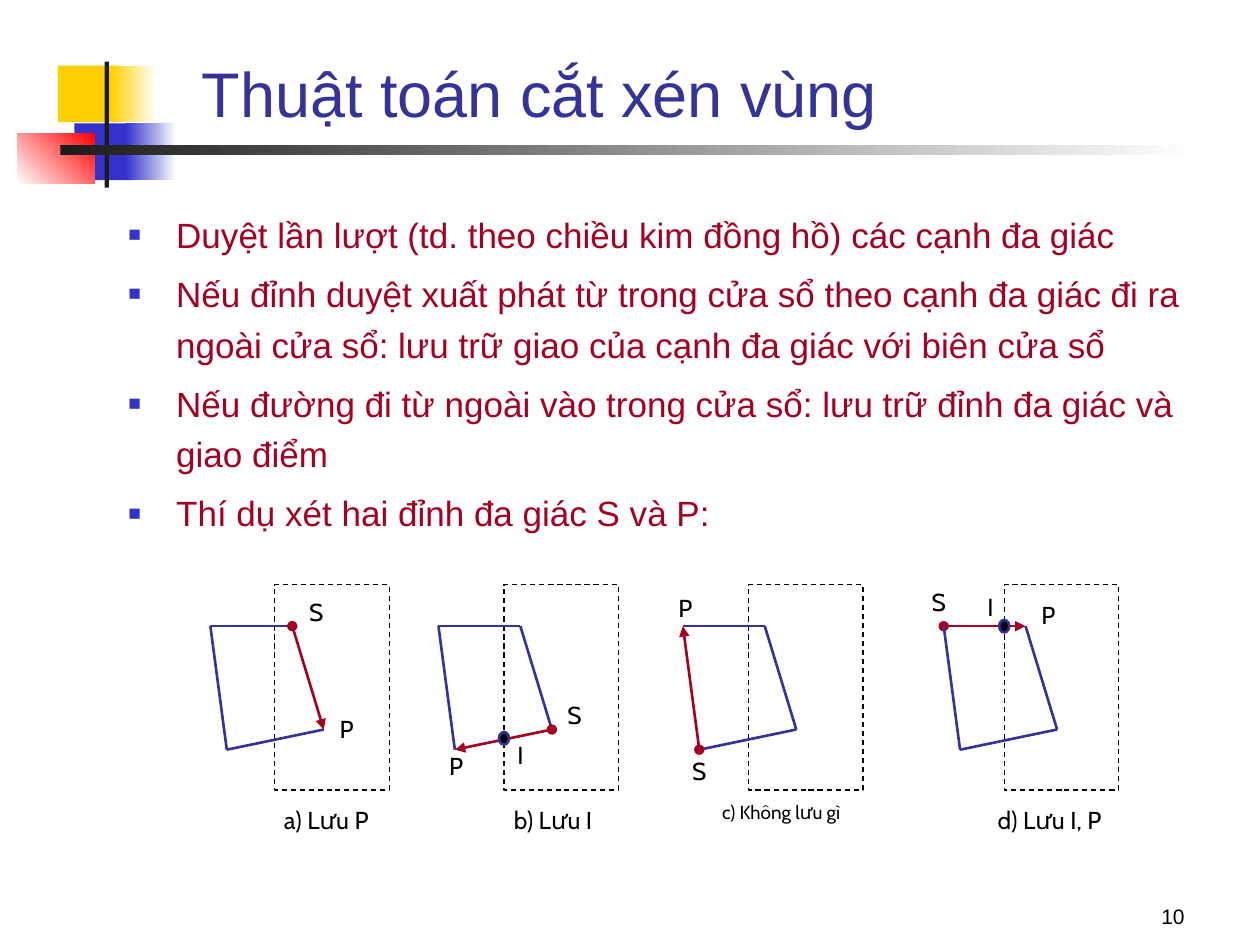
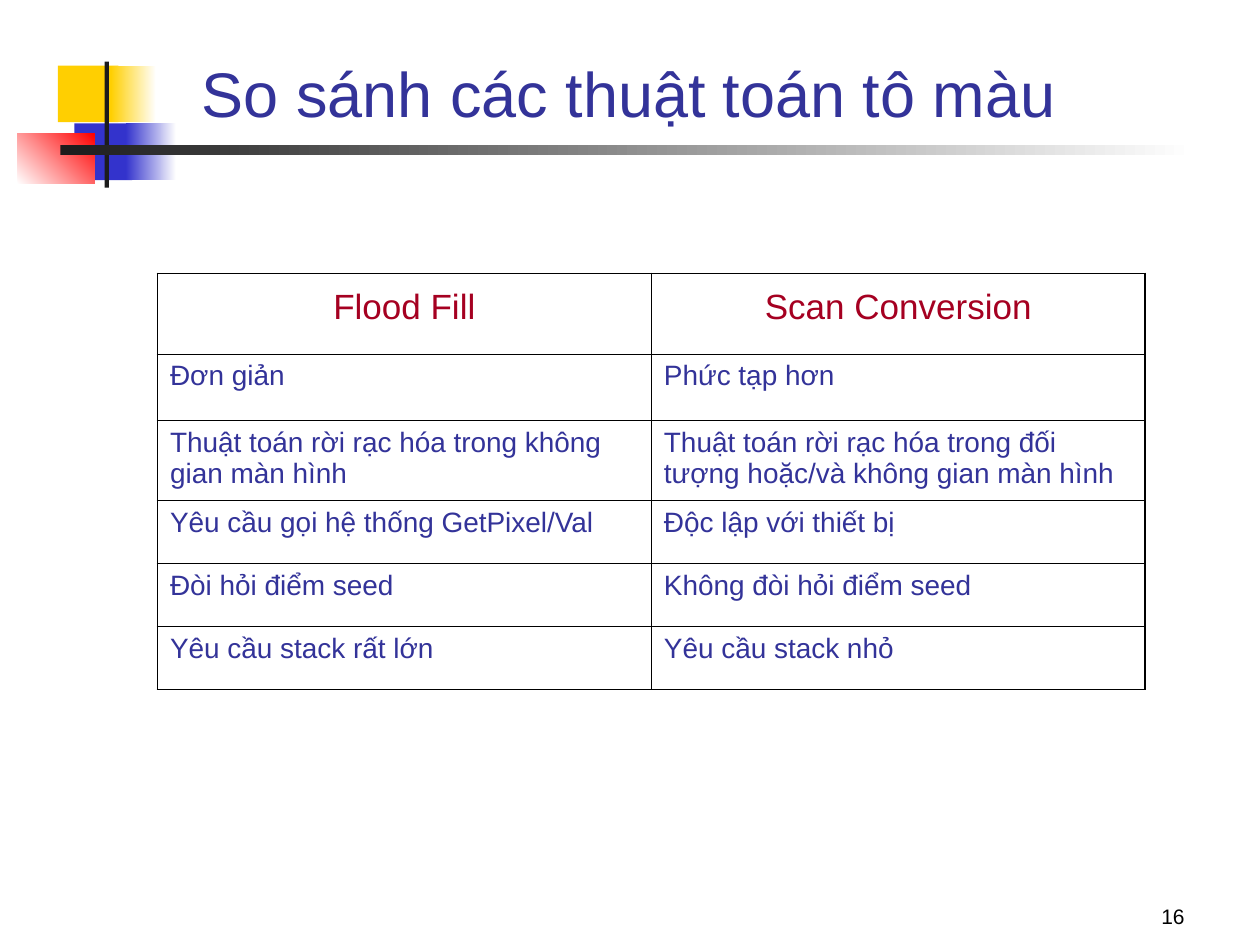
from lxml import etree
from pptx import Presentation
from pptx import util as u
from pptx.dml.color import RGBColor
from pptx.enum import dml, shapes, text
from pptx.oxml.ns import qn

# Grid: 100 columns by 75 rows of a tenth of an inch
COLUMNS, ROWS = 100, 75
COLORS = {
    "title": "333399", "accent": "A50021", "bullet": "3333CC",
    "yellow": "FFCF01", "red": "FF0000", "dark": "1C1C1C",
    "black": "000000", "white": "FFFFFF",
}
BODY_FONT, FIGURE_FONT = "Arial", "Cabin"
ALIGN, ANCHOR = text.PP_ALIGN, text.MSO_ANCHOR

# Decoration: left, top, width, height, colours of the fill, angle
BANDS = [
    (4.6, 5.2, 4.8, 4.5, ["yellow"], 0),
    (8.8, 5.2, 3.6, 4.5, ["yellow", "white"], 0),
    (5.9, 9.8, 4.6, 4.5, ["bullet"], 0),
    (10, 9.8, 4, 4.5, ["bullet", "white"], 0),
    (1.4, 10.6, 6.1, 4, ["white", "red"], 45),
    (8.3, 4.9, 0.35, 10, ["dark"], 0),
    (4.8, 11.5, 90, 0.8, ["dark", "white"], 0),
]

RULES = [
    "Duyệt lần lượt (td. theo chiều kim đồng hồ) các cạnh đa giác",
    "Nếu đỉnh duyệt xuất phát từ trong cửa sổ theo cạnh đa giác đi ra "
    "ngoài cửa sổ: lưu trữ giao của cạnh đa giác với biên cửa sổ",
    "Nếu đường đi từ ngoài vào trong cửa sổ: lưu trữ đỉnh đa giác và giao điểm",
    "Thí dụ xét hai đỉnh đa giác S và P:",
]

# Polygon corners in clockwise order, relative to the first one
CORNERS = [(0, 0), (6.5, 0), (9, 8.2), (1.3, 9.8)]
POLYGON_TOP = 49.7
WINDOW_TOP, WINDOW_WIDTH, WINDOW_HEIGHT = 46.4, 9.1, 16.3
CAPTION_TOP = 63.4

# Labels: text, centre and top relative to the first corner.
# "edge" is the edge walked from S to P, "crossing" the height of I.
CASES = [
    dict(left=16.7, window=5.1, edge=1, crossing=None,
         labels=[("P", 10.8, 6.5), ("S", 8.4, -2.8)],
         caption=("a) Lưu P", 9.2, 14, 1)),
    dict(left=34.8, window=5.2, edge=2, crossing=8.9,
         labels=[("P", 1.4, 9.4), ("S", 10.8, 5.4), ("I", 6.5, 8.5)],
         caption=("b) Lưu I", 9.1, 14, 1)),
    dict(left=54.2, window=5.2, edge=3, crossing=None,
         labels=[("P", 0.2, -3.1), ("S", 1.3, 9.8)],
         caption=("c) Không lưu gì", 7.8, 10.8, 0.8)),
    dict(left=74.9, window=4.8, edge=0, crossing=0,
         labels=[("P", 8.3, -2.6), ("S", -0.4, -3.6), ("I", 3.7, -3.2)],
         caption=("d) Lưu I, P", 8.4, 14, 1)),
]

COMPARISON = [
    ("Flood Fill", "Scan Conversion"),
    ("Đơn giản", "Phức tạp hơn"),
    ("Thuật toán rời rạc hóa trong không gian màn hình",
     "Thuật toán rời rạc hóa trong đối tượng hoặc/và không gian màn hình"),
    ("Yêu cầu gọi hệ thống GetPixel/Val", "Độc lập với thiết bị"),
    ("Đòi hỏi điểm seed", "Không đòi hỏi điểm seed"),
    ("Yêu cầu stack rất lớn", "Yêu cầu stack nhỏ"),
]
ROW_HEIGHTS = [6.4, 5.3, 6.3, 5, 5, 5]


def grid(*cells):
    return [u.Inches(cell / 10) for cell in cells]


def rgb(name):
    return RGBColor.from_string(COLORS[name])


def add_xml(parent, tag, **attributes):
    return etree.SubElement(parent, qn(tag), attributes)


def write(paragraph, words, size, color, font=BODY_FONT, align=ALIGN.LEFT,
          spacing=1, before=0):
    paragraph.alignment = align
    paragraph.line_spacing = spacing
    paragraph.space_before = u.Pt(before)
    run = paragraph.add_run()
    run.text = words
    run.font.size = u.Pt(size)
    run.font.name = font
    run.font.color.rgb = rgb(color)


def add_box(parent, place, anchor=ANCHOR.TOP):
    frame = parent.shapes.add_textbox(*grid(*place)).text_frame
    frame.word_wrap = True
    frame.vertical_anchor = anchor
    return frame


def add_figure(parent, kind, place, fill, angle=0):
    """Preset shape without line; two fill colours make a gradient."""
    figure = parent.shapes.add_shape(kind, *grid(*place))
    figure.shadow.inherit = False
    figure.line.fill.background()
    if len(fill) == 1:
        figure.fill.solid()
        figure.fill.fore_color.rgb = rgb(fill[0])
    else:
        figure.fill.gradient()
        figure.fill.gradient_angle = angle
        for stop, color in zip(figure.fill.gradient_stops, fill):
            stop.color.rgb = rgb(color)
    return figure


def outline(figure, color, width):
    figure.line.color.rgb = rgb(color)
    figure.line.width = u.Pt(width)


def add_edge(parent, start, end, walked):
    edge = parent.shapes.add_connector(
        shapes.MSO_CONNECTOR.STRAIGHT, *grid(*start, *end))
    outline(edge, "accent" if walked else "title", 1.5)
    properties = edge._element.spPr
    if walked:
        line = properties.find(qn("a:ln"))
        add_xml(line, "a:headEnd", type="oval")
        add_xml(line, "a:tailEnd", type="triangle")
    add_xml(properties, "a:effectLst")


def add_label(parent, words, centre, top, width=5.2, size=14, spacing=1):
    frame = add_box(parent, (centre - width / 2, top, width, 4.9))
    write(frame.paragraphs[0], words, size, "black", FIGURE_FONT,
          ALIGN.CENTER, spacing)


def add_base(deck, heading, number):
    """Slide with decoration, title and page number."""
    slide = deck.slides.add_slide(deck.slide_layouts[5])
    for *place, fill, angle in BANDS:
        add_figure(slide, shapes.MSO_SHAPE.RECTANGLE, place, fill, angle)
    title = slide.shapes.title
    title.left, title.top, title.width, title.height = grid(15, 2.5, 83.6, 8.3)
    title.text_frame.auto_size = text.MSO_AUTO_SIZE.NONE
    title.text_frame.vertical_anchor = ANCHOR.BOTTOM
    write(title.text_frame.paragraphs[0], heading, 36, "title")
    page = add_box(slide, (80.8, 69.2, 14.2, 5), ANCHOR.BOTTOM)
    write(page.paragraphs[0], number, 12, "black", align=ALIGN.RIGHT)
    return slide


def add_bullets(slide, items):
    frame = add_box(slide, (9.2, 15.8, 88.8, 28))
    for index, item in enumerate(items):
        paragraph = frame.add_paragraph() if index else frame.paragraphs[0]
        write(paragraph, item, 20, "accent", spacing=1.2, before=5)
        properties = paragraph._p.get_or_add_pPr()
        indent = u.Inches(0.38)
        properties.set("marL", str(indent))
        properties.set("indent", str(-indent))
        add_xml(add_xml(properties, "a:buClr"), "a:srgbClr", val=COLORS["bullet"])
        add_xml(properties, "a:buSzPct", val="60000")
        add_xml(properties, "a:buFont", typeface=BODY_FONT)
        add_xml(properties, "a:buChar", char="■")


def add_case(slide, left, window, edge, crossing, labels, caption):
    """One clipping case: window, polygon, labels and caption."""
    group = slide.shapes.add_group_shape()
    border = add_figure(group, shapes.MSO_SHAPE.RECTANGLE,
                        (left + window, WINDOW_TOP, WINDOW_WIDTH, WINDOW_HEIGHT),
                        ["white"])
    outline(border, "black", 0.75)
    border.line.dash_style = dml.MSO_LINE.DASH

    corners = [(left + x, POLYGON_TOP + y) for x, y in CORNERS]
    for index, start in enumerate(corners):
        end = corners[(index + 1) % len(corners)]
        add_edge(group, start, end, index == edge)
    for words, centre, top in labels:
        add_label(group, words, left + centre, POLYGON_TOP + top)
    words, centre, size, spacing = caption
    add_label(group, words, left + centre, CAPTION_TOP, 13, size, spacing)
    if crossing is not None:
        place = (left + window - 0.4, POLYGON_TOP + crossing - 0.5, 0.8, 1)
        dot = add_figure(group, shapes.MSO_SHAPE.OVAL, place, ["black"])
        outline(dot, "title", 1.5)


def set_borders(cell, outer):
    """Draw the four sides, thicker where they lie on the table's outside."""
    properties = cell._tc.get_or_add_tcPr()
    for side in ("L", "R", "T", "B"):
        width = u.Pt(1.08 if side in outer else 0.45)
        line = add_xml(properties, f"a:ln{side}", w=str(width))
        add_xml(add_xml(line, "a:solidFill"), "a:srgbClr", val=COLORS["black"])


def add_comparison(slide, rows):
    last_row, last_column = len(rows) - 1, len(rows[0]) - 1
    table = slide.shapes.add_table(
        len(rows), len(rows[0]), *grid(12.5, 21.7, 78.4, sum(ROW_HEIGHTS))).table
    table.first_row = table.horz_banding = False
    for r, entries in enumerate(rows):
        table.rows[r].height = grid(ROW_HEIGHTS[r])[0]
        for c, entry in enumerate(entries):
            cell = table.cell(r, c)
            sides = {"L": c == 0, "R": c == last_column,
                     "T": r == 0, "B": r == last_row}
            set_borders(cell, [side for side, is_outer in sides.items() if is_outer])
            cell.fill.background()
            paragraph = cell.text_frame.paragraphs[0]
            if r == 0:
                write(paragraph, entry, 20, "accent", align=ALIGN.CENTER,
                      spacing=1.2, before=5)
            else:
                write(paragraph, entry, 16, "title", before=4)


def main():
    deck = Presentation()
    deck.slide_width, deck.slide_height = grid(COLUMNS, ROWS)

    # Polygon clipping
    clipping = add_base(deck, "Thuật toán cắt xén vùng", "10")
    add_bullets(clipping, RULES)
    for case in CASES:
        add_case(clipping, **case)

    # Comparison of filling algorithms
    filling = add_base(deck, "So sánh các thuật toán tô màu", "16")
    add_comparison(filling, COMPARISON)

    deck.save("out.pptx")


if __name__ == "__main__":
    main()
